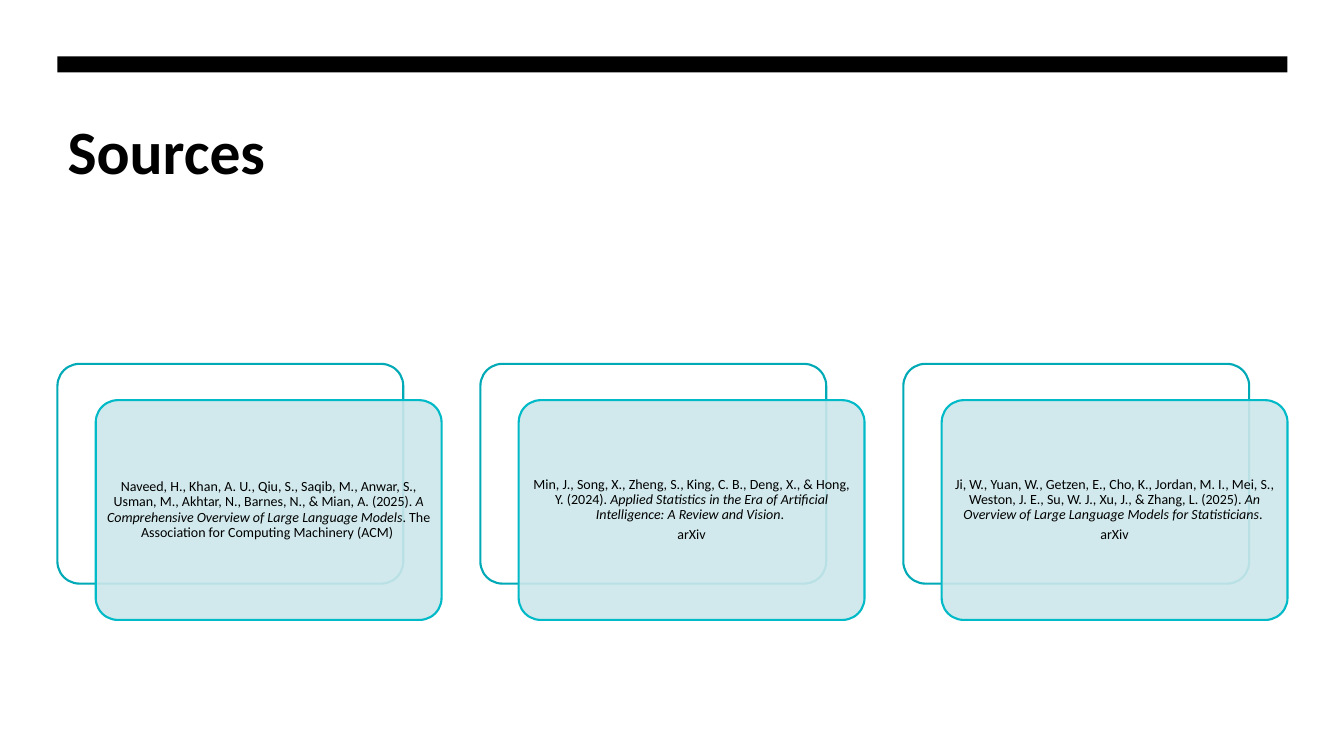
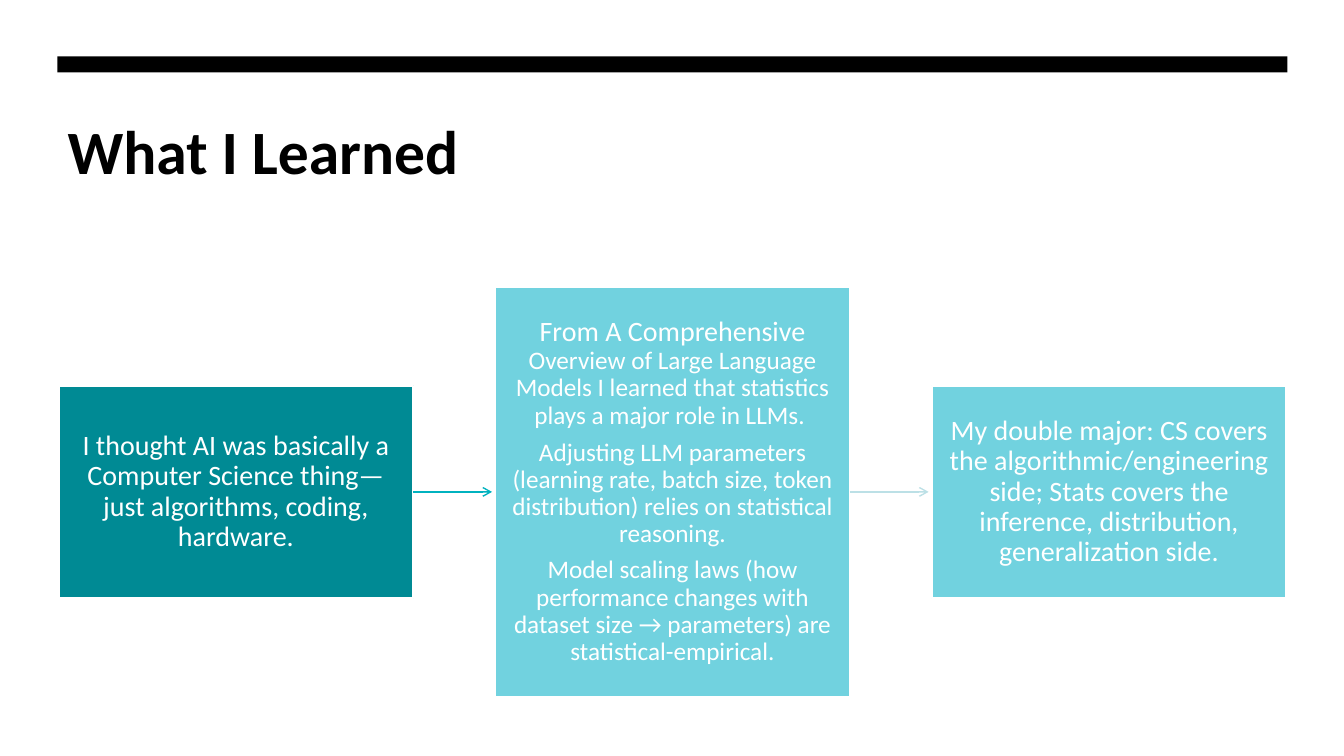
from lxml.etree import SubElement
from pptx import Presentation
from pptx.dml.color import RGBColor
from pptx.enum.shapes import MSO_CONNECTOR, MSO_SHAPE
from pptx.enum.text import MSO_ANCHOR, PP_ALIGN
from pptx.oxml.ns import qn
from pptx.util import Inches, Pt

BLACK = RGBColor(0x00, 0x00, 0x00)
WHITE = RGBColor(0xFF, 0xFF, 0xFF)
CARD_BACK_LINE = RGBColor(0x00, 0xA9, 0xB6)
CARD_LINE = RGBColor(0x00, 0xBA, 0xC8)
CARD_FILL = RGBColor(0xCC, 0xE7, 0xEB)
DARK_TEAL = RGBColor(0x00, 0x8A, 0x94)
LIGHT_TEAL = RGBColor(0x71, 0xD2, 0xDF)
ARROW_TEAL = RGBColor(0x00, 0xB2, 0xBF)
ARROW_PALE = RGBColor(0xBC, 0xE0, 0xE6)

FONT = "Calibri"
LEFT, WIDTH = 0.57, 12.2
CARD_TOP, CARD_W, CARD_H, CARD_STEP = 3.61, 3.43, 2.18, 4.195
CARD_SHIFT_X, CARD_SHIFT_Y = 0.38, 0.36
STEP_LEFT, STEP_W, STEP_PITCH, STEP_MIDDLE = 0.58, 3.52, 4.33, 4.88
ARROW_LENGTH = 0.78

# Each source is a list of paragraphs; each paragraph is a list of (text, italic).
SOURCES = [
    [[("Naveed, H., Khan, A. U., Qiu, S., Saqib, M., Anwar, S., Usman, M., "
       "Akhtar, N., Barnes, N., & Mian, A. (2025). ", False),
      ("A Comprehensive Overview of Large Language Models", True),
      (". The Association for Computing Machinery (ACM) ", False)]],
    [[("Min, J., Song, X., Zheng, S., King, C. B., Deng, X., & Hong, Y. (2024). ", False),
      ("Applied Statistics in the Era of Artificial Intelligence: "
       "A Review and Vision", True),
      (". ", False)],
     [("arXiv", False)]],
    [[("Ji, W., Yuan, W., Getzen, E., Cho, K., Jordan, M. I., Mei, S., Weston, J. E., "
       "Su, W. J., Xu, J., & Zhang, L. (2025). ", False),
      ("An Overview of Large Language Models for Statisticians", True),
      (". ", False)],
     [("arXiv", False)]],
]

# Each step is (height, fill, paragraphs); each paragraph is a list of (text, size).
STEPS = [
    (2.11, DARK_TEAL,
     [[("I thought AI was basically a Computer Science thing—just algorithms, "
        "coding, hardware.", 20)]]),
    (4.07, LIGHT_TEAL,
     [[("From A Comprehensive ", 20),
       ("Overview of Large Language Models I learned that statistics plays "
        "a major role in LLMs. ", 18)],
      [("Adjusting LLM parameters (learning rate, batch size, token distribution) "
        "relies on statistical reasoning.", 18)],
      [("Model scaling laws (how performance changes with dataset size → parameters) "
        "are statistical-empirical.", 18)]]),
    (2.11, LIGHT_TEAL,
     [[("My double major: CS covers the algorithmic/engineering side; Stats covers "
        "the inference, distribution, generalization side.", 20)]]),
]


def add_box(slide, kind, x, y, w, h, fill, line=None):
    sp = slide.shapes.add_shape(kind, Inches(x), Inches(y), Inches(w), Inches(h))
    sp.shadow.inherit = False
    sp.fill.solid()
    sp.fill.fore_color.rgb = fill
    if line is None:
        sp.line.fill.background()
    else:
        sp.line.color.rgb = line
        sp.line.width = Pt(1.5)
    return sp


def add_round_box(slide, x, y, fill, line):
    sp = add_box(slide, MSO_SHAPE.ROUNDED_RECTANGLE, x, y, CARD_W, CARD_H, fill, line)
    sp.adjustments[0] = 0.1
    return sp


def set_opacity(sp, percent):
    color = sp.fill._xPr.find(qn("a:solidFill"))[0]
    SubElement(color, qn("a:alpha")).set("val", str(percent * 1000))


def add_run(p, text, size, color, bold=False, italic=False):
    r = p.add_run()
    r.text = text
    r.font.name = FONT
    r.font.size = Pt(size)
    r.font.bold = bold
    r.font.italic = italic
    r.font.color.rgb = color


def fill_text(sp, paragraphs, color, inset_x, inset_y):
    """Write centred paragraphs, each a list of (text, size, italic) runs."""
    tf = sp.text_frame
    tf.word_wrap = True
    tf.vertical_anchor = MSO_ANCHOR.MIDDLE
    tf.margin_left = tf.margin_right = Inches(inset_x)
    tf.margin_top = tf.margin_bottom = Inches(inset_y)
    for i, runs in enumerate(paragraphs):
        p = tf.add_paragraph() if i else tf.paragraphs[0]
        p.alignment = PP_ALIGN.CENTER
        p.line_spacing = 0.9
        p.space_after = Pt(0.35 * runs[0][1])
        for text, size, italic in runs:
            add_run(p, text, size, color, italic=italic)


def add_titled_slide(prs, title):
    """Add a slide with the black band and the shared title style."""
    slide = prs.slides.add_slide(prs.slide_layouts[5])
    sp = slide.shapes.title
    sp.left, sp.top = Inches(LEFT), Inches(1.07)
    sp.width, sp.height = Inches(WIDTH), Inches(1.6)
    tf = sp.text_frame
    tf.word_wrap = True
    tf.vertical_anchor = MSO_ANCHOR.TOP
    p = tf.paragraphs[0]
    p.alignment = PP_ALIGN.LEFT
    add_run(p, title, 44, BLACK, bold=True)
    add_box(slide, MSO_SHAPE.RECTANGLE, LEFT, 0.56, WIDTH, 0.16, BLACK)
    return slide


def add_source_card(slide, x, paragraphs):
    add_round_box(slide, x, CARD_TOP, WHITE, CARD_BACK_LINE)
    front = add_round_box(slide, x + CARD_SHIFT_X, CARD_TOP + CARD_SHIFT_Y,
                          CARD_FILL, CARD_LINE)
    set_opacity(front, 90)
    sized = [[(text, 10, italic) for text, italic in runs] for runs in paragraphs]
    fill_text(front, sized, BLACK, 0.04, 0.04)


def add_step(slide, x, height, fill, paragraphs):
    sp = add_box(slide, MSO_SHAPE.RECTANGLE, x, STEP_MIDDLE - height / 2,
                 STEP_W, height, fill, WHITE)
    upright = [[(text, size, False) for text, size in runs] for runs in paragraphs]
    fill_text(sp, upright, WHITE, 0.17, 0.18)
    return sp


def add_arrow(slide, box, color):
    """Draw an arrow from the right side of box, stopping just before the next one."""
    x, y = box.left + box.width, box.top + box.height // 2
    cxn = slide.shapes.add_connector(MSO_CONNECTOR.STRAIGHT, x, y,
                                     x + Inches(ARROW_LENGTH), y)
    cxn.begin_connect(box, 3)
    cxn.line.color.rgb = color
    cxn.line.width = Pt(1)
    SubElement(cxn.line._get_or_add_ln(), qn("a:tailEnd")).set("type", "arrow")
    SubElement(cxn._element.spPr, qn("a:effectLst"))


def build_sources(prs):
    slide = add_titled_slide(prs, "Sources")
    for i, paragraphs in enumerate(SOURCES):
        add_source_card(slide, LEFT + i * CARD_STEP, paragraphs)


def build_learned(prs):
    slide = add_titled_slide(prs, "What I Learned")
    boxes = [add_step(slide, STEP_LEFT + i * STEP_PITCH, *step)
             for i, step in enumerate(STEPS)]
    for box, color in zip(boxes, (ARROW_TEAL, ARROW_PALE)):
        add_arrow(slide, box, color)


def main():
    prs = Presentation()
    prs.slide_width, prs.slide_height = Inches(13.33), Inches(7.5)
    build_sources(prs)
    build_learned(prs)
    prs.save("out.pptx")


if __name__ == "__main__":
    main()
